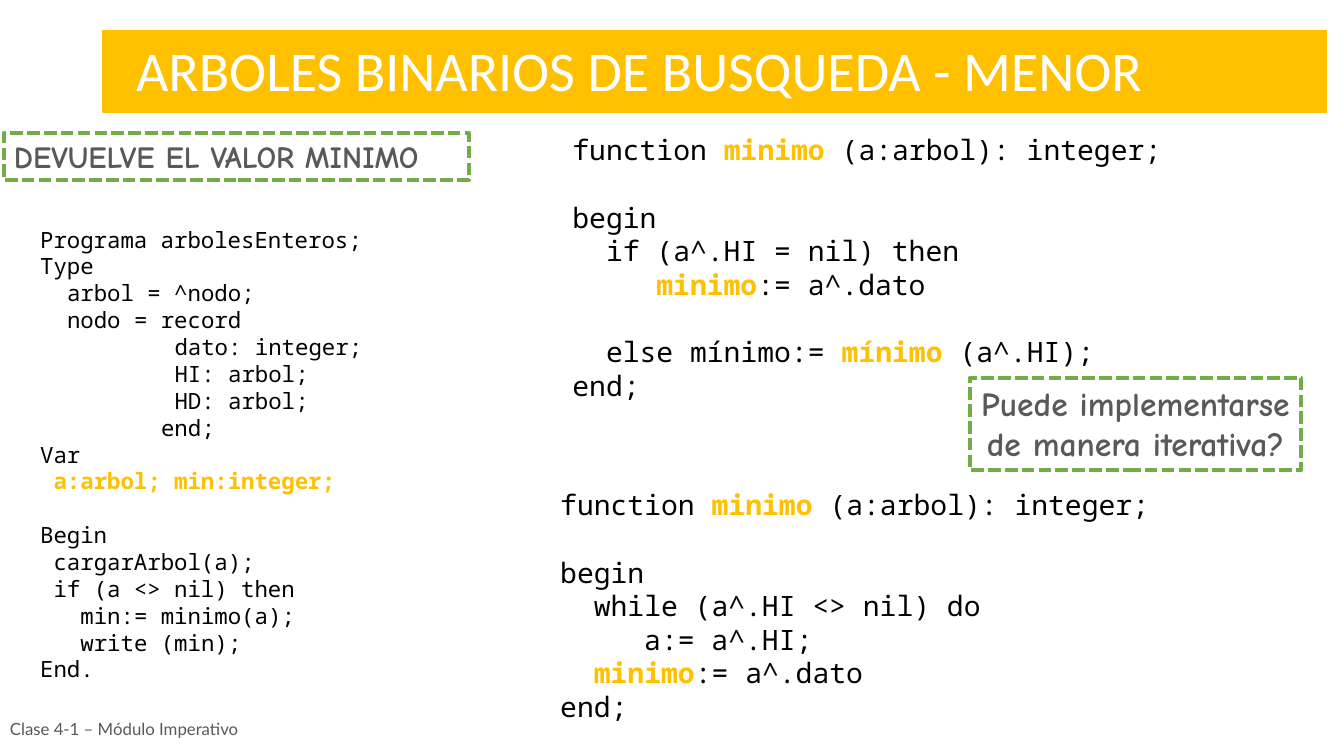
from dataclasses import dataclass

from lxml.etree import SubElement
from pptx import Presentation
from pptx.dml.color import RGBColor
from pptx.enum.dml import MSO_LINE
from pptx.enum.shapes import MSO_SHAPE
from pptx.enum.text import MSO_ANCHOR, MSO_AUTO_SIZE, PP_ALIGN
from pptx.oxml.ns import qn
from pptx.shapes.autoshape import Shape
from pptx.slide import Slide
from pptx.text.text import TextFrame, _Paragraph
from pptx.util import Pt

COLORS = {"amber": "FFC000", "green": "70AD47", "grey": "595959",
          "black": "000000", "white": "FFFFFF"}
CODE_FONT = "Noto Sans Mono"
CHAR_WIDTH = 0.6    # of the code font, in ems
LINE_HEIGHT = 1.2   # of the code font, in ems


@dataclass
class Box:
    left: float
    top: float
    width: float
    height: float

    def lengths(self) -> tuple[Pt, Pt, Pt, Pt]:
        return Pt(self.left), Pt(self.top), Pt(self.width), Pt(self.height)


@dataclass
class Callout:
    box: Box
    text: str
    size: float
    align: PP_ALIGN


@dataclass
class Listing:
    """Code whose *starred* words stand out."""
    box: Box
    size: float
    code: str


CALLOUTS = [
    Callout(Box(2.9, 95, 332, 33.8), "DEVUELVE EL VALOR MINIMO", 22, PP_ALIGN.LEFT),
    Callout(Box(692.6, 270, 236.9, 65.5), "Puede implementarse de manera iterativa?",
            24, PP_ALIGN.CENTER),
]

LISTINGS = [
    Listing(Box(21.6, 157.7, 313.2, 337), 16, """\
Programa arbolesEnteros;
Type
  arbol = ^nodo;
  nodo = record
          dato: integer;
          HI: arbol;
          HD: arbol;
         end;
Var
 *a:arbol; min:integer;*

Begin
 cargarArbol(a);
 if (a <> nil) then
   min:= minimo(a);
   write (min);
End."""),
    Listing(Box(401.8, 91.4, 527.8, 200.9), 20, """\
function *minimo* (a:arbol): integer;

begin
  if (a^.HI = nil) then
     *minimo*:= a^.dato

  else mínimo:= *mínimo* (a^.HI);
end;"""),
    Listing(Box(393.1, 344.9, 527.8, 177.1), 20, """\
function *minimo* (a:arbol): integer;

begin
  while (a^.HI <> nil) do
     a:= a^.HI;
  *minimo*:= a^.dato
end;"""),
]


def rgb(name: str) -> RGBColor:
    return RGBColor.from_string(COLORS[name])


def write(p: _Paragraph, text: str, *, font: str, size: float, color: str,
          bold: bool = False, align: PP_ALIGN = PP_ALIGN.LEFT) -> None:
    p.alignment = align
    r = p.add_run()
    r.text = text
    r.font.name = font
    r.font.size = Pt(size)
    r.font.bold = bold
    r.font.color.rgb = rgb(color)


def set_frame(sp: Shape, anchor: MSO_ANCHOR = MSO_ANCHOR.TOP) -> TextFrame:
    tf = sp.text_frame
    tf.word_wrap = True
    tf.auto_size = MSO_AUTO_SIZE.NONE
    tf.vertical_anchor = anchor
    return tf


def add_rect(s: Slide, box: Box, line: str, width: float) -> Shape:
    sp = s.shapes.add_shape(MSO_SHAPE.RECTANGLE, *box.lengths())
    sp.shadow.inherit = False
    sp.fill.background()
    sp.line.color.rgb = rgb(line)
    sp.line.width = Pt(width)
    return sp


def add_title(s: Slide, text: str) -> None:
    band = add_rect(s, Box(73.5, 21.6, 874, 58.3), "amber", 1)
    band.fill.solid()
    band.fill.fore_color.rgb = rgb("amber")
    title = s.shapes.title
    title.left, title.top, title.width, title.height = Box(90, 21.6, 839.5, 55.4).lengths()
    band._element.addnext(title._element)
    write(set_frame(title).paragraphs[0], text, font="Calibri", size=40, color="white")


def add_footer(s: Slide, text: str) -> None:
    sp = s.shapes.add_textbox(*Box(0, 504.7, 213.8, 32.4).lengths())
    tf = set_frame(sp, MSO_ANCHOR.MIDDLE)
    write(tf.paragraphs[0], text, font="Lato", size=12, color="grey")


def add_callout(s: Slide, callout: Callout) -> None:
    sp = add_rect(s, callout.box, "green", 3)
    sp.line.dash_style = MSO_LINE.SQUARE_DOT
    dash = sp.line._get_or_add_ln().find(qn("a:prstDash"))
    if dash is None:
        dash = SubElement(sp.line._get_or_add_ln(), qn("a:prstDash"))
    dash.set("val", "sysDash")
    write(set_frame(sp).paragraphs[0], callout.text, font="Comic Neue",
          size=callout.size, color="grey", bold=True, align=callout.align)


def add_listing(s: Slide, listing: Listing) -> None:
    """Turn leading spaces into indents and empty lines into space before."""
    tf = set_frame(s.shapes.add_textbox(*listing.box.lengths()))
    p, gap = tf.paragraphs[0], 0.0
    for number, line in enumerate(listing.code.split("\n")):
        if not line:
            gap = listing.size * LINE_HEIGHT
            continue
        if number:
            p = tf.add_paragraph()
        code = line.lstrip()
        indent = (len(line) - len(code)) * CHAR_WIDTH * listing.size
        p._p.get_or_add_pPr().set("marL", str(int(Pt(indent))))
        p.space_before, gap = Pt(gap), 0.0
        for i, part in enumerate(code.split("*")):
            if part:
                marked = i % 2 == 1
                write(p, part, font=CODE_FONT, size=listing.size, bold=marked,
                      color="amber" if marked else "black", align=PP_ALIGN.JUSTIFY)


def main() -> None:
    prs = Presentation()
    prs.slide_width, prs.slide_height = Pt(960), Pt(540)
    s = prs.slides.add_slide(prs.slide_layouts[5])
    add_title(s, "ARBOLES BINARIOS DE BUSQUEDA - MENOR")
    add_footer(s, "Clase 4-1 – Módulo Imperativo")
    for listing in LISTINGS:
        add_listing(s, listing)
    for callout in CALLOUTS:
        add_callout(s, callout)
    prs.save("out.pptx")


if __name__ == "__main__":
    main()
